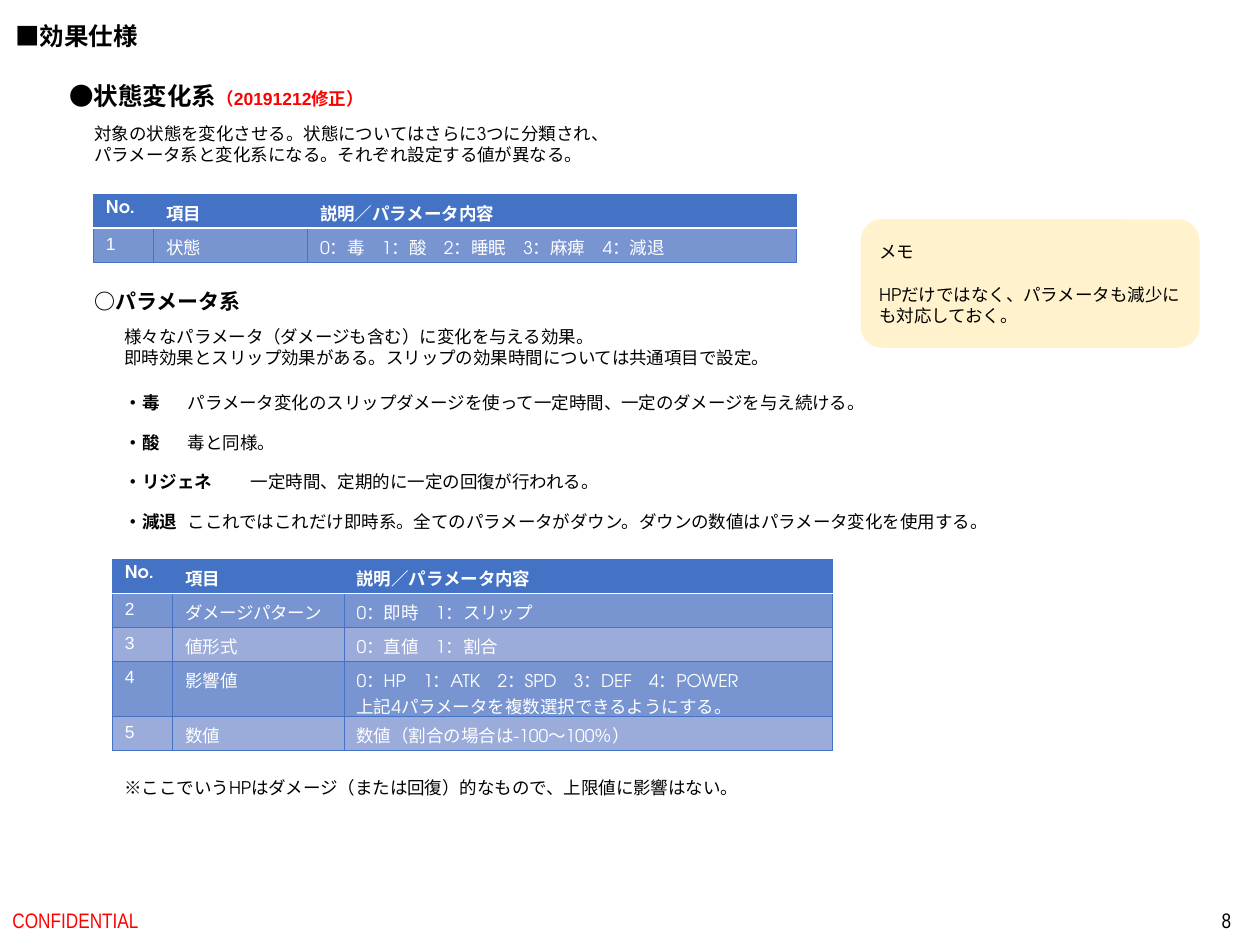
import dataclasses

import pptx
import pptx.dml.color
import pptx.enum.shapes
import pptx.enum.text
import pptx.oxml
import pptx.oxml.ns
import pptx.util

ANCHOR = pptx.enum.text.MSO_ANCHOR
ALIGN = pptx.enum.text.PP_ALIGN
AUTO = pptx.enum.text.MSO_AUTO_SIZE
SHAPE = pptx.enum.shapes.MSO_SHAPE


@dataclasses.dataclass(frozen=True)
class Theme:
    ink: str = "000000"
    alert: str = "FF0000"
    light: str = "FFFFFF"
    head: str = "4472C4"
    bands: tuple = ("7895D1", "9BABDA")
    memo: str = "FFF2CC"
    main: str = "TeX Gyre Adventor"
    plain: str = "Arial"
    narrow: str = "Arial Narrow"
    h1: int = 14
    h2: int = 12
    body: int = 10


def rgb(color):
    return pptx.dml.color.RGBColor.from_string(color)


class Deck:
    COLS, ROWS = 100, 75

    def __init__(self, theme):
        self.theme = theme
        self.prs = pptx.Presentation()
        self.prs.slide_width = pptx.util.Inches(10)
        self.prs.slide_height = pptx.util.Inches(7.5)
        self.s = self.prs.slides.add_slide(self.prs.slide_layouts[1])

    def x(self, cols):
        return round(self.prs.slide_width * cols / self.COLS)

    def y(self, rows):
        return round(self.prs.slide_height * rows / self.ROWS)

    def box(self, left, top, width, height):
        return self.x(left), self.y(top), self.x(width), self.y(height)

    def place(self, sp, at):
        sp.left, sp.top, sp.width, sp.height = self.box(*at)

    def style(self, r, size=None, font=None, color=None, bold=False):
        r.font.size = pptx.util.Pt(size or self.theme.body)
        r.font.name = font or self.theme.main
        r.font.bold = bold
        r.font.color.rgb = rgb(color or self.theme.ink)

    def fill_text(self, tf, text, align=ALIGN.LEFT, **look):
        tf.text = text
        for p in tf.paragraphs:
            p.alignment = align
            for r in p.runs:
                self.style(r, **look)

    def title(self, at, text):
        sp = self.s.shapes.title
        self.place(sp, at)
        tf = sp.text_frame
        self.fill_text(tf, text, size=self.theme.h1, font=self.theme.plain, bold=True)
        tf.word_wrap = False
        tf.auto_size = AUTO.NONE
        tf.vertical_anchor = ANCHOR.TOP

    def text(self, at, text, wrap=False, anchor=ANCHOR.TOP, **look):
        tf = self.s.shapes.add_textbox(*self.box(*at)).text_frame
        tf.word_wrap = wrap
        tf.vertical_anchor = anchor
        self.fill_text(tf, text, **look)
        return tf

    def terms(self, at, tab, gap, items):
        sp = self.s.placeholders[1]
        self.place(sp, at)
        tf = sp.text_frame
        tf.auto_size = AUTO.NONE
        ns = pptx.oxml.ns.nsdecls("a")
        for i, (term, meaning) in enumerate(items):
            p = tf.paragraphs[0] if i == 0 else tf.add_paragraph()
            p.text = term
            self.style(p.runs[0], bold=True)
            r = p.add_run()
            r.text = "\t" + meaning
            self.style(r)
            p.space_before = pptx.util.Pt(0)
            p.space_after = pptx.util.Pt(gap)
            pPr = p._p.get_or_add_pPr()
            pPr.set("marL", "0")
            pPr.set("indent", "0")
            pPr.append(pptx.oxml.parse_xml(f"<a:buNone {ns}/>"))
            pPr.append(pptx.oxml.parse_xml(
                f'<a:tabLst {ns}><a:tab pos="{self.x(tab)}" algn="l"/></a:tabLst>'))

    def memo(self, at, text):
        sp = self.s.shapes.add_shape(SHAPE.ROUNDED_RECTANGLE, *self.box(*at))
        sp.shadow.inherit = False
        sp.fill.solid()
        sp.fill.fore_color.rgb = rgb(self.theme.memo)
        sp.line.fill.background()
        sp.text_frame.vertical_anchor = ANCHOR.MIDDLE
        self.fill_text(sp.text_frame, text)
        return sp.text_frame

    def borders(self, cell, **sides):
        tcPr = cell._tc.get_or_add_tcPr()
        for i, side in enumerate("LRTB"):
            color, width = sides.get(side, (self.theme.head, 0.5))
            tcPr.insert(i, pptx.oxml.parse_xml(
                f'<a:ln{side} {pptx.oxml.ns.nsdecls("a")} w="{pptx.util.Pt(width)}">'
                f'<a:solidFill><a:srgbClr val="{color}"/></a:solidFill></a:ln{side}>'))

    def table(self, left, top, cols, heights, rows):
        t = self.theme
        rows = [("No.", "項目", "説明／パラメータ内容"), *rows]
        at = self.box(left, top, sum(cols), sum(heights))
        tbl = self.s.shapes.add_table(len(rows), len(cols), *at).table
        for col, width in zip(tbl.columns, cols):
            col.width = self.x(width)
        rule = (t.light, 1)
        for i, (values, height) in enumerate(zip(rows, heights)):
            tbl.rows[i].height = self.y(height)
            for j, value in enumerate(values):
                cell = tbl.cell(i, j)
                cell.fill.solid()
                cell.fill.fore_color.rgb = rgb(t.bands[(i - 1) % 2] if i else t.head)
                self.fill_text(cell.text_frame, value, color=t.light, bold=i == 0,
                               font=t.plain if i and j == 0 else t.main)
                edges = {0: {"B": rule}, 1: {"T": rule}}
                self.borders(cell, **edges.get(i, {}))


def main():
    t = Theme()
    d = Deck(t)
    d.title((0.2, 1.2, 11.8, 3.4), "■効果仕様")
    footer = dict(wrap=True, anchor=ANCHOR.MIDDLE, size=t.h2, font=t.narrow)
    d.text((0, 71, 33.8, 4), "CONFIDENTIAL", color=t.alert, **footer)
    d.text((76.2, 71, 22.5, 4), "8", align=ALIGN.RIGHT, **footer)

    tf = d.text((4.5, 5.9, 27, 3.4), "●状態変化系", size=t.h1, bold=True)
    r = tf.paragraphs[0].add_run()
    r.text = "（20191212修正）"
    d.style(r, font=t.plain, color=t.alert, bold=True)
    d.text((6.5, 9.3, 44.1, 4.4),
           "対象の状態を変化させる。状態についてはさらに3つに分類され、\n"
           "パラメータ系と変化系になる。それぞれ設定する値が異なる。")
    d.table(7.4, 15.4, (4.8, 12.2, 38.8), (2.7, 2.7),
            [("1", "状態", "0：毒　1：酸　2：睡眠　3：麻痺　4：減退")])
    tf = d.memo((68.3, 17.4, 26.9, 10.2),
                "メモ\nHPだけではなく、パラメータも減少にも対応しておく。")
    tf.paragraphs[0].space_after = pptx.util.Pt(12)

    d.text((6.5, 22.4, 13.8, 3), "○パラメータ系", size=t.h2, bold=True)
    d.text((8.9, 25.4, 53.9, 4.4),
           "様々なパラメータ（ダメージも含む）に変化を与える効果。\n"
           "即時効果とスリップ効果がある。スリップの効果時間については共通項目で設定。")
    d.terms((8.9, 30.6, 76, 12.2), 9.7, 10.7, [
        ("・毒", "パラメータ変化のスリップダメージを使って一定時間、一定のダメージを与え続ける。"),
        ("・酸", "毒と同様。"),
        ("・リジェネ", "一定時間、定期的に一定の回復が行われる。"),
        ("・減退", "ここれではこれだけ即時系。全てのパラメータがダウン。"
                 "ダウンの数値はパラメータ変化を使用する。"),
    ])
    d.table(8.9, 44.4, (4.8, 13.6, 38.8), (2.7, 2.7, 2.7, 4.3, 2.7), [
        ("2", "ダメージパターン", "0：即時　1：スリップ"),
        ("3", "値形式", "0：直値　1：割合"),
        ("4", "影響値", "0：HP　1：ATK　2：SPD　3：DEF　4：POWER\n"
                     "上記4パラメータを複数選択できるようにする。"),
        ("5", "数値", "数値（割合の場合は-100～100％）"),
    ])
    d.text((8.9, 61.2, 51.5, 2.7),
           "※ここでいうHPはダメージ（または回復）的なもので、上限値に影響はない。")
    d.prs.save("out.pptx")


if __name__ == "__main__":
    main()
